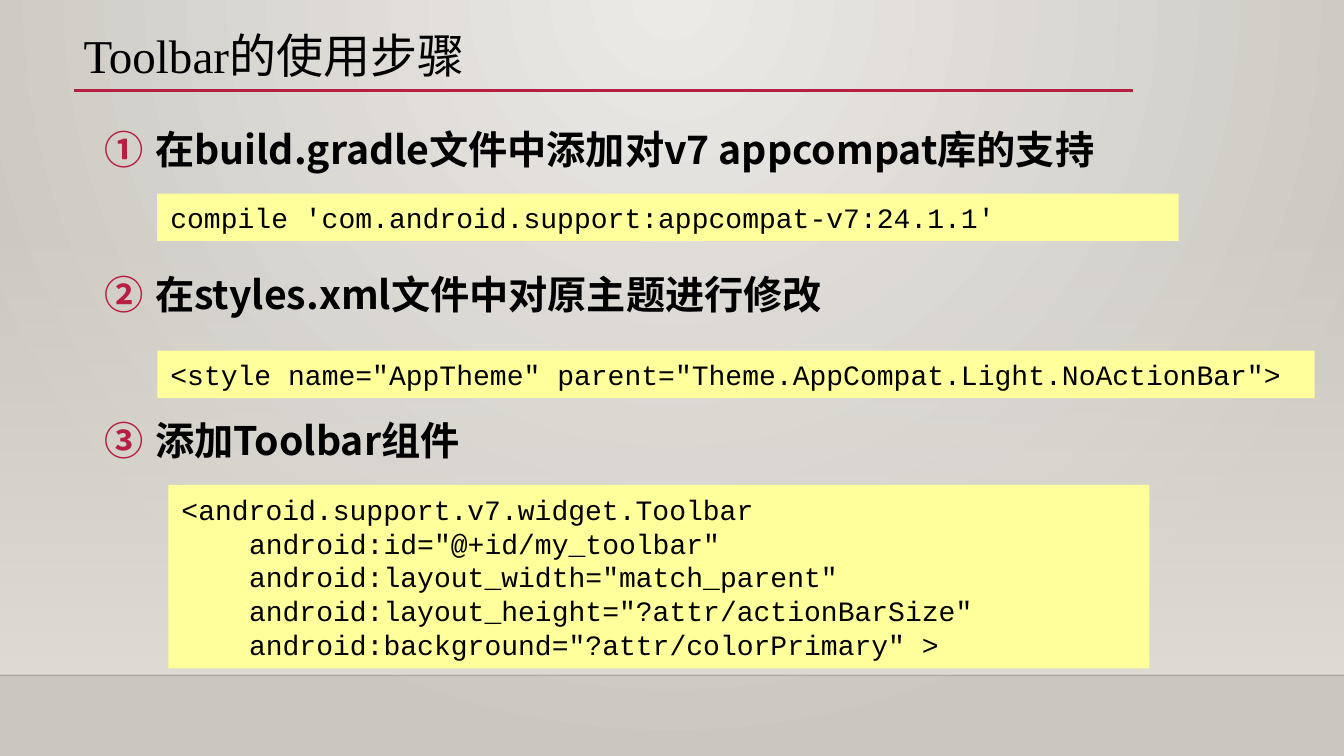
from dataclasses import dataclass

from lxml import etree
from pptx import Presentation
from pptx import util as u
from pptx.dml.color import RGBColor
from pptx.enum import shapes, text
from pptx.oxml import ns


@dataclass(frozen=True)
class Theme:
    ink: str = "000000"
    accent: str = "B71E42"
    code_fill: str = "FFFF9B"
    glow: str = "ECEAE7"
    edge: str = "CAC7C1"
    band: str = "DFDBD5"
    title_font: str = "Times New Roman"
    step_font: str = "Noto Sans CJK SC"
    code_font: str = "Courier New"
    title_size: float = 33.6
    step_size: int = 28
    code_size: int = 20


THEME = Theme()
WIDTH, HEIGHT = 13.33, 7.5
FLOOR = 6.7

STEPS = [
    "在build.gradle文件中添加对v7 appcompat库的支持",
    "在styles.xml文件中对原主题进行修改",
    "添加Toolbar组件",
]

# Each code panel: position and size, first line, indented lines
CODE_PANELS = [
    ((1.56, 1.92, 10.13, 0.47),
     "compile 'com.android.support:appcompat-v7:24.1.1'", []),
    ((1.56, 3.48, 11.48, 0.47),
     '<style name="AppTheme" parent="Theme.AppCompat.Light.NoActionBar">', []),
    ((1.67, 4.81, 9.73, 1.82),
     "<android.support.v7.widget.Toolbar",
     ['android:id="@+id/my_toolbar"',
      'android:layout_width="match_parent"',
      'android:layout_height="?attr/actionBarSize"',
      'android:background="?attr/colorPrimary" >']),
]


def inches(values):
    return [u.Inches(value) for value in values]


def apply(target, formats):
    for name, value in formats.items():
        setattr(target, name, value)


def add_child(parent, tag, **attributes):
    return etree.SubElement(parent, ns.qn(tag), attributes)


def set_alpha(element, percent):
    for color in element.iter(ns.qn("a:srgbClr")):
        add_child(color, "a:alpha", val=str(percent * 1000))


def set_gradient(fill, colors):
    fill.gradient()
    for stop, color in zip(fill.gradient_stops, colors):
        stop.color.rgb = RGBColor.from_string(color)


def add_span(para, words, font, size, bold=False):
    span = para.add_run()
    span.text = words
    apply(span.font, {"name": font, "size": u.Pt(size), "bold": bold})
    span.font.color.rgb = RGBColor.from_string(THEME.ink)
    add_child(span.font._element, "a:ea", typeface=THEME.step_font)


def set_frame(frame, side, edge, anchor):
    apply(frame, {
        "word_wrap": True, "vertical_anchor": anchor,
        "margin_left": u.Inches(side), "margin_right": u.Inches(side),
        "margin_top": u.Inches(edge), "margin_bottom": u.Inches(edge),
    })


def next_para(frame, index):
    return frame.add_paragraph() if index else frame.paragraphs[0]


def set_indent(para, left, first=0):
    properties = para._p.get_or_add_pPr()
    properties.set("marL", str(u.Inches(left)))
    properties.set("indent", str(u.Inches(first)))
    return properties


def add_rule(page, left, right, top, color, weight, alpha=100):
    rule = page.shapes.add_connector(
        shapes.MSO_CONNECTOR.STRAIGHT, *inches([left, top, right, top]))
    rule.line.color.rgb = RGBColor.from_string(color)
    rule.line.width = u.Pt(weight)
    if alpha < 100:
        set_alpha(rule.element, alpha)
    add_child(rule.element.spPr, "a:effectLst")


def add_box(page, place):
    box = page.shapes.add_shape(shapes.MSO_SHAPE.RECTANGLE, *inches(place))
    box.shadow.inherit = False
    box.line.fill.background()
    return box


def add_backdrop(page):
    # Light spreading from the top centre
    set_gradient(page.background.fill, [THEME.glow, THEME.edge])
    gradient = page.element.find(".//" + ns.qn("a:gradFill"))
    gradient.remove(gradient.find(ns.qn("a:lin")))
    circle = add_child(gradient, "a:path", path="circle")
    add_child(circle, "a:fillToRect", l="43000", t="0", r="43000", b="100000")

    # Wall fading in towards the floor line
    wall = add_box(page, (0, 2.21, WIDTH, FLOOR - 2.21))
    set_gradient(wall.fill, [THEME.band, THEME.band])
    wall.fill.gradient_angle = 270
    set_alpha(wall.element.find(".//" + ns.qn("a:gs")), 0)
    add_rule(page, 0, WIDTH, FLOOR, THEME.ink, 1, alpha=20)


def add_title(page, words):
    box = page.shapes.add_textbox(*inches((0.73, 0.28, 8.19, 0.6)))
    set_frame(box.text_frame, 0.1, 0, text.MSO_ANCHOR.MIDDLE)
    para = box.text_frame.paragraphs[0]
    para.line_spacing = 0.9
    add_span(para, words, THEME.title_font, THEME.title_size)
    add_rule(page, 0.73, 11.24, 0.9, THEME.accent, 2.5)


def add_steps(page, steps):
    box = page.shapes.add_textbox(*inches((1.04, 1.24, 11.2, 3.7)))
    set_frame(box.text_frame, 0, 0, text.MSO_ANCHOR.TOP)
    for index, words in enumerate(steps):
        para = next_para(box.text_frame, index)
        para.space_after = u.Pt(70.3)
        properties = set_indent(para, 0.5, -0.5)
        color = add_child(properties, "a:buClr")
        add_child(color, "a:srgbClr", val=THEME.accent)
        add_child(properties, "a:buFont", typeface=THEME.step_font)
        add_child(properties, "a:buAutoNum", type="circleNumDbPlain")
        add_span(para, words, THEME.step_font, THEME.step_size, bold=True)


def add_code(page, place, first, indented):
    box = add_box(page, place)
    box.fill.solid()
    box.fill.fore_color.rgb = RGBColor.from_string(THEME.code_fill)
    set_frame(box.text_frame, 0.13, 0.07, text.MSO_ANCHOR.MIDDLE)
    for index, words in enumerate([first, *indented]):
        para = next_para(box.text_frame, index)
        para.alignment = text.PP_ALIGN.LEFT
        set_indent(para, 0.67 if index else 0)
        add_span(para, words, THEME.code_font, THEME.code_size)


def main():
    deck = Presentation()
    deck.slide_width, deck.slide_height = inches((WIDTH, HEIGHT))
    page = deck.slides.add_slide(deck.slide_layouts[6])
    add_backdrop(page)
    add_title(page, "Toolbar的使用步骤")
    add_steps(page, STEPS)
    for place, first, indented in CODE_PANELS:
        add_code(page, place, first, indented)
    deck.save("out.pptx")


if __name__ == "__main__":
    main()
